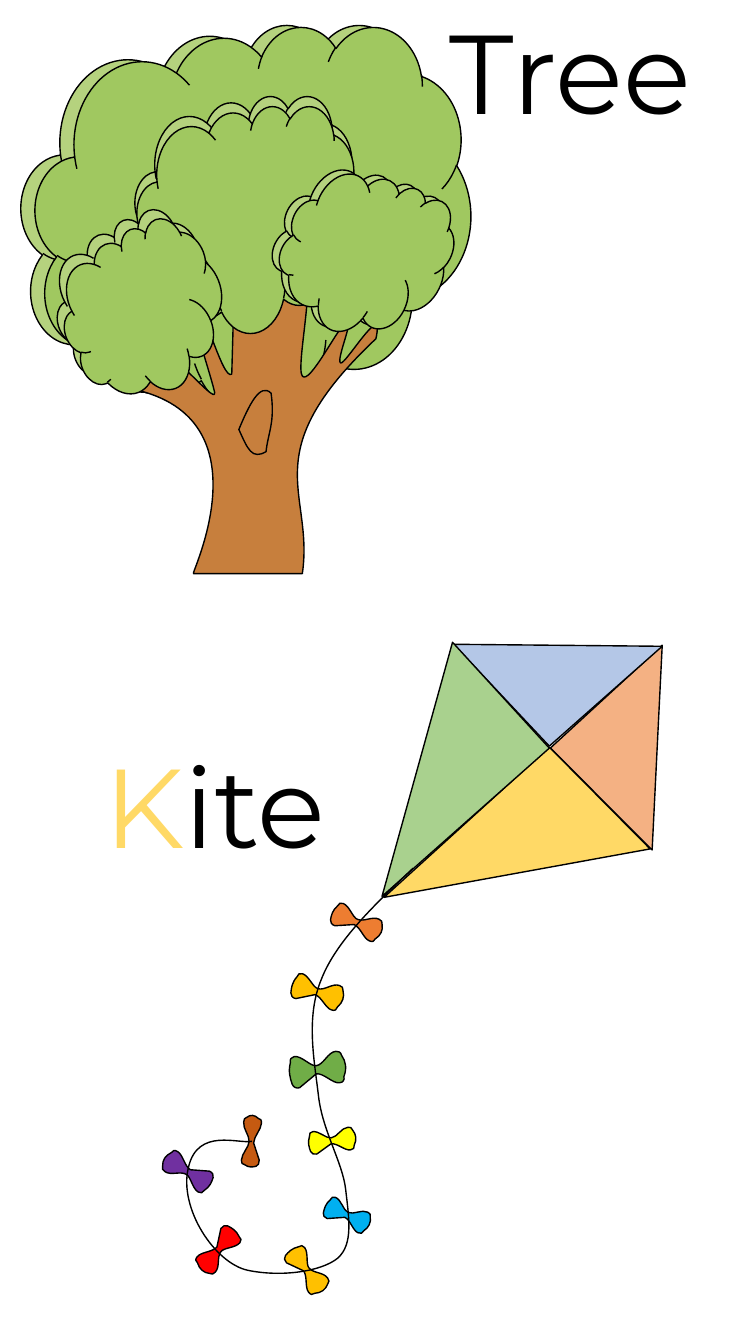
from lxml.etree import SubElement
from pptx import Presentation
from pptx.dml.color import RGBColor
from pptx.enum.shapes import MSO_SHAPE
from pptx.enum.text import MSO_AUTO_SIZE
from pptx.oxml.ns import qn
from pptx.util import Inches, Pt

THEME = {
    "font": "Montserrat", "word_size": 80, "line_width": 1,
    "ink": "000000", "leaf": "A0C860", "leaf_shade": "B5D27E", "bark": "C77F3D",
    "salmon": "F4B183", "sky": "B4C7E7", "yellow": "FFD966", "mint": "A9D18E",
    "green": "70AD47", "lemon": "FFFF00", "blue": "00B0F0", "gold": "FFC000",
    "brown": "C55A11", "purple": "7030A0", "red": "FF0000", "orange": "ED7D31",
}

TREE_WORD = [("Tree", "ink")]
KITE_WORD = [("K", "yellow"), ("ite", "ink")]

CROWN = [
    (0.21, 0.24, 4.32, 3.87, 0, "leaf_shade"),
    (0.35, 0.26, 4.32, 3.87, 0, "leaf"),
]
BRANCHES = [
    (1.34, 0.95, 2.2, 2.25, 0, "leaf_shade"),
    (1.36, 1.05, 2.2, 2.25, 0, "leaf"),
    (2.75, 1.67, 1.61, 1.63, 26.5, "leaf_shade"),
    (2.82, 1.71, 1.61, 1.63, 26.5, "leaf"),
    (0.55, 2.19, 1.61, 1.63, 338.5, "leaf_shade"),
    (0.62, 2.28, 1.61, 1.63, 338.5, "leaf"),
]

# A pair of numbers is a straight segment; six numbers are a curve.
TRUNK = [
    (2.33, 2.65), (3, 2.65),
    (3.15, 2.7, 2.93, 3.64, 3, 3.73),
    (3.07, 3.82, 3.34, 3.27, 3.43, 3.2),
    (3.53, 3.13, 3.33, 3.57, 3.38, 3.6),
    (3.43, 3.62, 3.82, 2.95, 3.73, 3.36),
    (2.51, 4.51, 3.12, 4.87, 3, 5.69),
    (1.92, 5.69),
    (1.87, 5.74, 2.68, 4.15, 1.32, 3.86),
    (1.26, 3.51, 1.41, 3.55, 1.52, 3.55),
    (1.55, 3.25, 2.16, 4.06, 2.13, 3.89),
    (2.09, 3.71, 1.85, 3.01, 1.92, 3.02),
    (2, 2.94, 2.21, 3.79, 2.3, 3.71),
]
KNOT = [
    (2.37, 4.26),
    (2.47, 4.02, 2.58, 3.79, 2.69, 3.9),
    (2.73, 4.19, 2.66, 4.29, 2.64, 4.48),
    (2.5, 4.56, 2.46, 4.46, 2.37, 4.26),
]
SAILS = [
    ([(6.47, 8.43), (5.46, 7.42), (6.57, 6.4)], "salmon"),
    ([(4.5, 6.39), (5.45, 7.4), (6.57, 6.41)], "sky"),
    ([(6.45, 8.42), (5.45, 7.41), (3.81, 8.9)], "yellow"),
    ([(4.49, 6.37), (5.45, 7.42), (3.79, 8.89)], "mint"),
]
TAIL = [
    (4.1, 8.61),
    (3.72, 8.97, 3.34, 9.33, 3.19, 9.71),
    (3.03, 10.09, 3.12, 10.52, 3.16, 10.87),
    (3.2, 11.22, 3.4, 11.53, 3.43, 11.8),
    (3.46, 12.07, 3.51, 12.34, 3.35, 12.48),
    (3.19, 12.61, 2.8, 12.67, 2.46, 12.6),
    (2.13, 12.53, 1.77, 11.98, 1.87, 11.58),
    (1.96, 11.18, 2.37, 11.35, 2.5, 11.32),
]
BOW = [
    (-0.46, -0.33),
    (-0.47, -0.43, -0.43, -0.5, -0.38, -0.5),
    (-0.25, -0.5, -0.12, -0.12, -0.02, -0.13),
    (0.11, -0.13, 0.21, -0.51, 0.35, -0.49),
    (0.4, -0.5, 0.43, -0.44, 0.44, -0.34),
    (0.5, -0.14, 0.5, 0.09, 0.43, 0.32),
    (0.44, 0.42, 0.4, 0.5, 0.34, 0.49),
    (0.22, 0.49, 0.09, 0.12, -0.04, 0.12),
    (-0.36, 0.48),
    (-0.42, 0.5, -0.47, 0.43, -0.48, 0.33),
    (-0.5, 0.14, -0.52, -0.06, -0.46, -0.33),
]
BOWS = [
    (2.87, 10.45, 0.57, 0.32, 352.5, "green"),
    (3.06, 11.2, 0.48, 0.23, 352.5, "lemon"),
    (3.21, 11.94, 0.48, 0.23, 24.3, "blue"),
    (2.89, 9.71, 0.53, 0.26, 17.2, "gold"),
    (2.24, 11.23, 0.52, 0.18, 273.1, "brown"),
    (1.6, 11.5, 0.53, 0.24, 211.2, "purple"),
    (1.91, 12.28, 0.52, 0.24, 129.6, "red"),
    (2.79, 12.48, 0.52, 0.24, 52.6, "gold"),
    (3.28, 9.03, 0.53, 0.24, 23.4, "orange"),
]


def color(name):
    return RGBColor.from_string(THEME[name])


def paint(shape, fill, rotation=0):
    shape.shadow.inherit = False
    if fill:
        shape.fill.solid()
        shape.fill.fore_color.rgb = color(fill)
    else:
        shape.fill.background()
    shape.line.color.rgb = color("ink")
    shape.line.width = Pt(THEME["line_width"])
    shape.rotation = rotation
    return shape


def add_cloud(shapes, left, top, width, height, rotation, fill):
    box = map(Inches, (left, top, width, height))
    return paint(shapes.add_shape(MSO_SHAPE.CLOUD, *box), fill, rotation)


def add_outline(shapes, segments, fill=None, closed=True, rotation=0):
    points = [
        (Inches(segment[i]), Inches(segment[i + 1]))
        for segment in segments for i in range(0, len(segment), 2)
    ]
    builder = shapes.build_freeform(*points[0])
    builder.add_line_segments(points[1:], close=closed)
    shape = builder.convert_to_shape()
    lines = iter(list(shape._element.iter(qn("a:lnTo"))))
    for segment in segments[1:]:
        first = next(lines)
        if len(segment) == 6:
            first.tag_name = None
            curve = SubElement(first.getparent(), qn("a:cubicBezTo"))
            first.addprevious(curve)
            for line in (first, next(lines), next(lines)):
                curve.append(line[0])
                line.getparent().remove(line)
    return paint(shape, fill, rotation)


def add_bow(shapes, left, top, width, height, rotation, fill):
    center, size = (left + width / 2, top + height / 2), (width, height)
    segments = [
        tuple(center[i % 2] + size[i % 2] * value for i, value in enumerate(segment))
        for segment in BOW
    ]
    return add_outline(shapes, segments, fill, rotation=rotation)


def add_text(shapes, runs, left, top, width, height):
    box = shapes.add_textbox(*map(Inches, (left, top, width, height)))
    frame = box.text_frame
    frame.word_wrap = True
    frame.auto_size = MSO_AUTO_SIZE.SHAPE_TO_FIT_TEXT
    for text, color_name in runs:
        run = frame.paragraphs[0].add_run()
        run.text = text
        run.font.name = THEME["font"]
        run.font.size = Pt(THEME["word_size"])
        run.font.color.rgb = color(color_name)
    return box


def main():
    presentation = Presentation()
    presentation.slide_width = Inches(7.5)
    presentation.slide_height = Inches(13.33)
    shapes = presentation.slides.add_slide(presentation.slide_layouts[6]).shapes

    tree = [add_cloud(shapes, *cloud) for cloud in CROWN]
    tree += [add_outline(shapes, TRUNK, "bark"), add_outline(shapes, KNOT)]
    tree += [add_cloud(shapes, *cloud) for cloud in BRANCHES]
    tree.append(add_text(shapes, TREE_WORD, left=4.36, top=-0.02, width=3.23, height=1.45))
    shapes.add_group_shape(tree)

    kite = [add_text(shapes, KITE_WORD, left=0.94, top=7.26, width=3, height=1.45)]
    kite += [add_outline(shapes, sail, fill) for sail, fill in SAILS]
    kite += [add_bow(shapes, *bow) for bow in BOWS]
    kite.append(add_outline(shapes, TAIL, closed=False))
    shapes.add_group_shape(kite)

    presentation.save("out.pptx")


if __name__ == "__main__":
    main()
